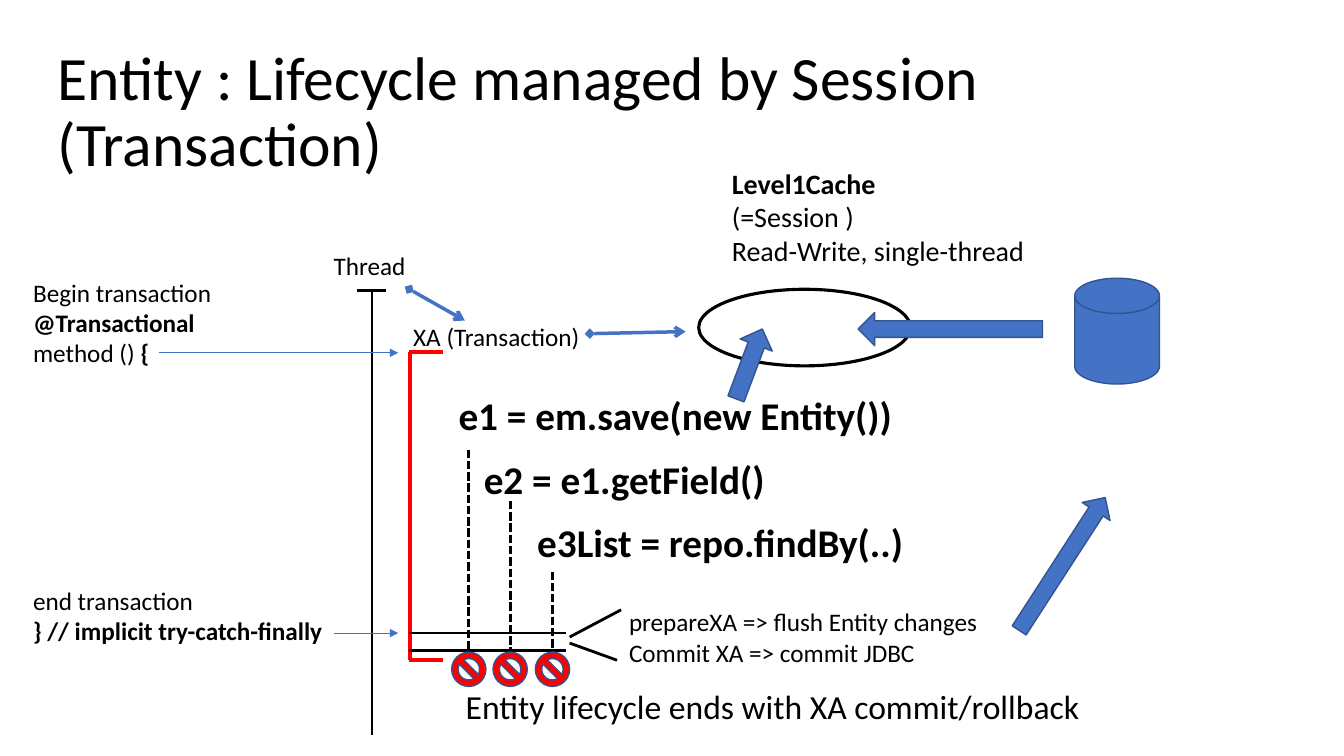
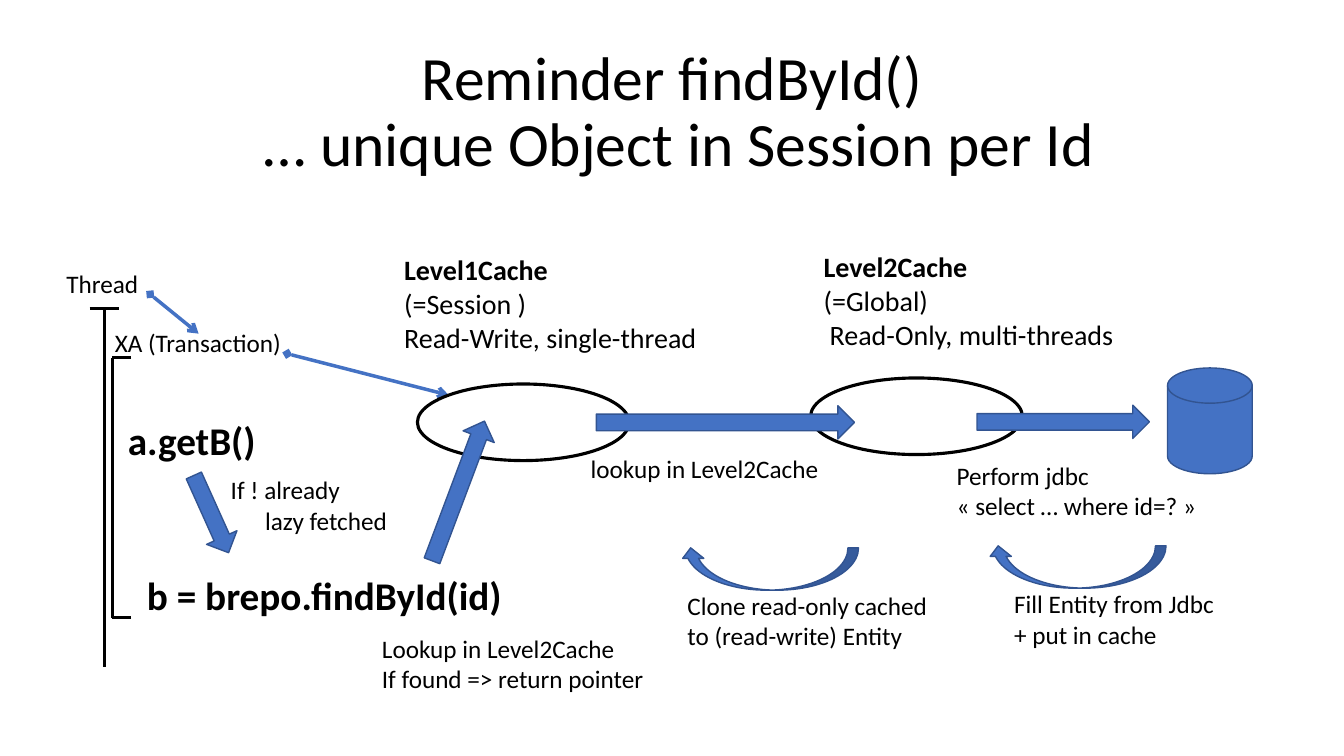
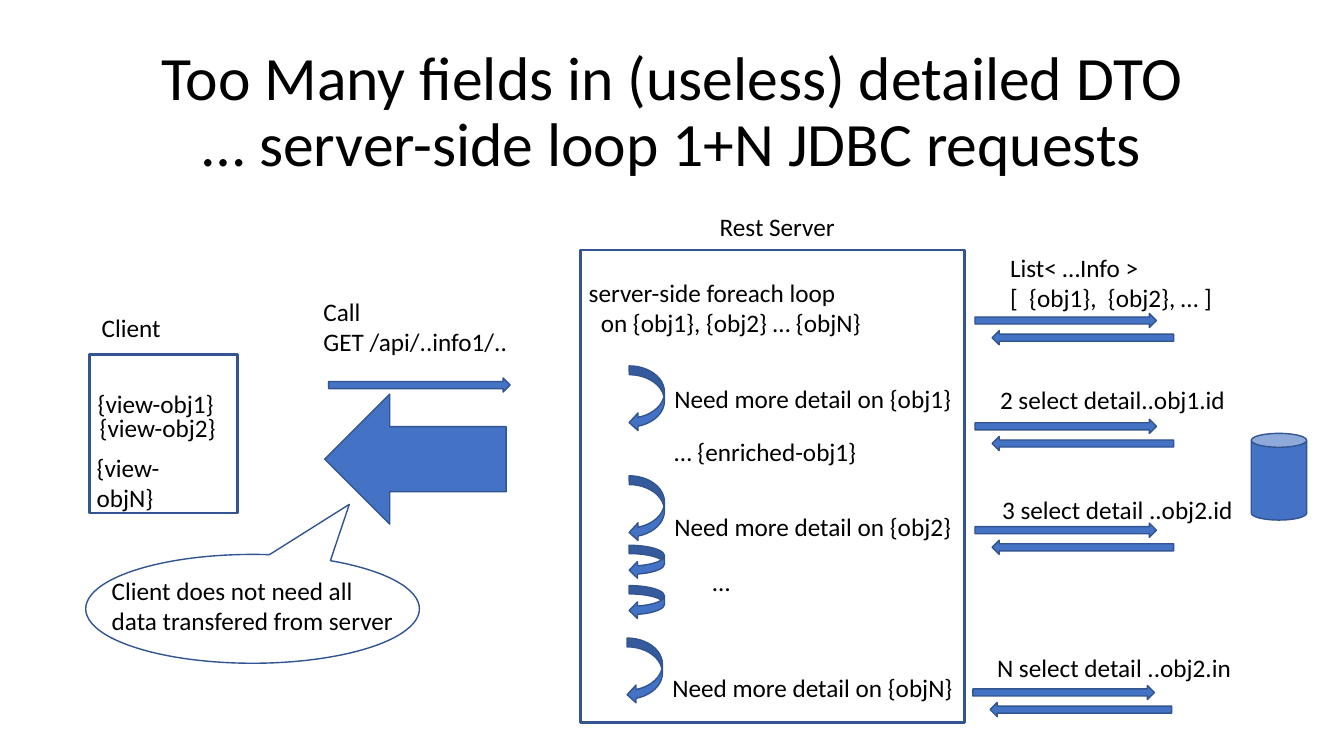
"""Builds three slides on entity lifecycles, cached lookups and request loops."""
from dataclasses import dataclass

from lxml import etree
from pptx import Presentation
from pptx import util as u
from pptx.dml.color import RGBColor
from pptx.enum import dml, shapes, text
from pptx.oxml import ns

Kind = shapes.MSO_SHAPE
Align = text.PP_ALIGN


@dataclass(frozen=True)
class Theme:
    font: str = "Calibri"
    ink: str = "000000"
    blue: str = "4472C4"
    edge: str = "325491"
    red: str = "FF0000"
    title: int = 44
    call: int = 28
    note: int = 24
    cache: int = 20
    body: int = 18
    thin: float = 0.5
    rim: float = 1
    pen: float = 2
    oval: float = 2.25
    link: float = 2.5
    thick: float = 3


class Deck:
    def __init__(self, theme):
        self.theme = theme
        self.show = Presentation()
        self.show.slide_width = u.Inches(13.33)
        self.show.slide_height = u.Inches(7.5)
        self.slide = None

    def run(self, para, words, size, bold=False):
        run = para.add_run()
        run.text = words
        run.font.name = self.theme.font
        run.font.size = u.Pt(size)
        run.font.bold = bold
        run.font.color.rgb = RGBColor.from_string(self.theme.ink)

    def page(self, *lines, x=0.92, w=11.5, align=Align.CENTER):
        self.slide = self.show.slides.add_slide(self.show.slide_layouts[5])
        title = self.slide.shapes.title
        title.left, title.top = u.Inches(x), u.Inches(0.4)
        title.width, title.height = u.Inches(w), u.Inches(1.45)
        frame = title.text_frame
        frame.word_wrap = True
        frame.auto_size = text.MSO_AUTO_SIZE.NONE
        frame.vertical_anchor = text.MSO_ANCHOR.MIDDLE
        para = frame.paragraphs[0]
        para.alignment = align
        para.line_spacing = 0.9
        for i, line in enumerate(lines):
            if i:
                para.add_line_break()
            self.run(para, line, self.theme.title)

    def label(self, x, y, w, *lines, size=None, indent=0):
        """Adds lines, with bold between ** marks and an indent on the last."""
        size = size or self.theme.body
        high = 0.1 + len(lines) * size / 60
        box = self.slide.shapes.add_textbox(*map(u.Inches, (x, y, w, high)))
        frame = box.text_frame
        frame.word_wrap = False
        frame.auto_size = text.MSO_AUTO_SIZE.SHAPE_TO_FIT_TEXT
        for i, line in enumerate(lines):
            para = frame.add_paragraph() if i else frame.paragraphs[0]
            for j, part in enumerate(line.split("**")):
                if part:
                    self.run(para, part, size, j % 2 == 1)
        if indent:
            para._p.get_or_add_pPr().set("marL", str(u.Inches(indent)))

    def call(self, x, y, w, line):
        self.label(x, y, w, f"**{line}**", size=self.theme.call)

    def cache(self, x, y, name, scope, use, indent=0):
        self.label(x, y, 3.13, f"**{name}**", scope, use,
                   size=self.theme.cache, indent=indent)

    def shape(self, kind, x, y, w, h, turn=0, fill=None, edge=None, wide=None):
        item = self.slide.shapes.add_shape(kind, *map(u.Inches, (x, y, w, h)))
        item.shadow.inherit = False
        item.rotation = turn
        if fill:
            item.fill.solid()
            item.fill.fore_color.rgb = RGBColor.from_string(fill)
        else:
            item.fill.background()
        item.line.color.rgb = RGBColor.from_string(edge or self.theme.edge)
        item.line.width = u.Pt(wide or self.theme.rim)
        return item

    def solid(self, kind, x, y, w, h, turn=0):
        self.shape(kind, x, y, w, h, turn, self.theme.blue)

    def arrow(self, x, y, w, h, turn):
        self.solid(Kind.DOWN_ARROW, x, y, w, h, turn)

    def oval(self, x, y):
        self.shape(Kind.OVAL, x, y, 2.1, 0.76,
                   edge=self.theme.ink, wide=self.theme.oval)

    def store(self, x, y):
        self.solid(Kind.FLOWCHART_MAGNETIC_DISK, x, y, 0.84, 1.05)

    def frame(self, x, y, w, h):
        self.shape(Kind.RECTANGLE, x, y, w, h, wide=self.theme.pen)

    def line(self, x, y, x2, y2, color=None, wide=None, dash=False,
             head=None, tail=None):
        item = self.slide.shapes.add_connector(
            shapes.MSO_CONNECTOR.STRAIGHT, *map(u.Inches, (x, y, x2, y2)))
        item.line.color.rgb = RGBColor.from_string(color or self.theme.ink)
        item.line.width = u.Pt(wide or self.theme.pen)
        if dash:
            item.line.dash_style = dml.MSO_LINE.SQUARE_DOT
        props = item.element.spPr
        for tag, tip in (("a:headEnd", head), ("a:tailEnd", tail)):
            if tip:
                etree.SubElement(props.get_or_add_ln(), ns.qn(tag), type=tip)
        etree.SubElement(props, ns.qn("a:effectLst"))

    def link(self, x, y, x2, y2):
        self.line(x, y, x2, y2, self.theme.blue, self.theme.link,
                  head="diamond", tail="arrow")

    def point(self, x, x2, y):
        self.line(x, y, x2, y, self.theme.blue, self.theme.thin,
                  tail="triangle")

    def thread(self, x, y, end):
        self.line(x, y, x, end)
        self.line(x - 0.15, y, x + 0.14, y)
        self.label(x - 0.48, y - 0.45, 0.92, "Thread")

    def scope(self, x, y, end, arm, color=None, wide=None):
        self.line(x, y, x, end, color, wide)
        for level in (y, end):
            self.line(x + arm, level, x - 0.01, level, color, wide)

    def trip(self, x, y):
        self.solid(Kind.RIGHT_ARROW, x, y, 1.8, 0.14)
        self.solid(Kind.RIGHT_ARROW, x + 0.17, y + 0.17, 1.8, 0.14, 180)


def life(deck):
    theme = deck.theme
    deck.page("Entity : Lifecycle managed by Session (Transaction)",
              x=0.47, w=12.69, align=Align.LEFT)
    deck.thread(3.69, 2.88, 7.29)
    deck.scope(4.07, 3.49, 6.55, 0.32, theme.red, theme.thick)
    deck.label(4, 3.14, 1.87, "XA (Transaction)")
    deck.oval(6.93, 2.87)
    deck.call(4.45, 3.83, 4.56, "e1 = em.save(new Entity())")
    deck.call(4.7, 4.47, 3.02, "e2 = e1.getField()")
    deck.call(5.23, 5.09, 3.88, "e3List = repo.findBy(..)")
    deck.link(4.06, 2.87, 4.61, 3.18)
    deck.link(5.85, 3.31, 6.8, 3.29)
    deck.cache(7.16, 1.6, "Level1Cache", "(=Session )",
               "Read-Write, single-thread")
    deck.arrow(7.26, 3.24, 0.34, 0.74, 200.6)
    deck.arrow(9.26, 2.35, 0.33, 1.83, 90)
    deck.store(10.66, 2.76)
    deck.solid(Kind.UP_ARROW, 10.37, 4.81, 0.33, 1.57, 32.9)

    deck.label(0.23, 2.7, 1.99, "Begin transaction", "**@Transactional**",
               "method () **{**")
    deck.label(0.23, 5.76, 3.08, "end transaction",
               "**} // implicit try-catch-finally**")
    deck.point(1.58, 3.95, 3.5)
    deck.point(3.31, 3.95, 6.28)
    for y in (6.28, 6.45):
        deck.line(5.61, y, 4.06, y)
    for x, y in ((4.65, 4.46), (5.06, 4.97), (5.48, 5.67)):
        deck.line(x, y, x, 6.46, dash=True)
        deck.shape(Kind.NO_SYMBOL, x - 0.17, 6.47, 0.34, 0.34, fill=theme.red)
    deck.line(6.16, 6.05, 5.65, 6.32)
    deck.line(6.12, 6.55, 5.65, 6.38)
    deck.label(6.14, 5.97, 3.71, "prepareXA => flush Entity changes",
               "Commit XA => commit JDBC")
    deck.label(4.52, 6.76, 6.35, "Entity lifecycle ends with XA commit/rollback",
               size=theme.note)


def find(deck):
    deck.page("Reminder findById()", " … unique Object in Session per Id")
    deck.thread(1.04, 3.06, 6.62)
    deck.scope(1.12, 3.55, 6.13, 0.18)
    deck.label(1.04, 3.2, 1.87, "XA (Transaction)")
    deck.link(1.49, 2.92, 1.97, 3.31)
    deck.link(2.85, 3.51, 4.45, 3.92)
    deck.oval(4.14, 3.81)
    deck.oval(8.04, 3.75)
    deck.cache(3.91, 2.46, "Level1Cache", "(=Session )",
               "Read-Write, single-thread")
    deck.cache(8.07, 2.43, "Level2Cache", "(=Global)",
               "Read-Only, multi-threads", indent=0.06)
    deck.call(1.17, 4.08, 1.49, "a.getB()")
    deck.call(1.36, 5.62, 3.76, "b = brepo.findById(id)")
    for spot in ((1.93, 4.68, 0.33, 0.84, 335.8), (4.38, 4.13, 0.33, 1.48, 200.6),
                 (7.03, 2.91, 0.33, 2.56, 270), (10.38, 3.33, 0.33, 1.71, 270)):
        deck.arrow(*spot)
    deck.store(11.58, 3.65)
    for x, y in ((7.42, 4.76), (10.47, 4.74)):
        deck.solid(Kind.CURVED_LEFT_ARROW, x, y, 0.42, 1.77, 90)
    deck.label(2.19, 4.66, 1.83, "If ! already", "lazy fetched", indent=0.34)
    deck.label(3.69, 6.23, 2.83, "Lookup in Level2Cache",
               "If found => return pointer")
    deck.label(5.76, 4.45, 2.55, "lookup in Level2Cache")
    deck.label(9.39, 4.52, 2.61, "Perform jdbc", "« select … where id=? »")
    deck.label(6.72, 5.81, 2.61, "Clone read-only cached",
               "to (read-write) Entity")
    deck.label(9.96, 5.79, 2.21, "Fill Entity from Jdbc", "+ put in cache")


def loop(deck):
    deck.page("Too Many fields in (useless) detailed DTO",
              "… server-side loop 1+N JDBC requests")
    deck.label(0.91, 3.05, 0.79, "Client")
    deck.frame(0.89, 3.52, 1.47, 1.57)
    for x, y, key in ((0.87, 3.8, 1), (0.89, 4.04, 2), (0.86, 4.44, "N")):
        deck.label(x, y, 1.38, f"{{view-obj{key}}}")
    deck.label(3.11, 2.89, 2.04, "Call", "GET /api/..info1/..")
    deck.solid(Kind.RIGHT_ARROW, 3.26, 3.75, 1.8, 0.14)
    deck.solid(Kind.RIGHT_ARROW, 3.22, 3.91, 1.8, 1.29, 180)
    bubble = deck.shape(Kind.OVAL_CALLOUT, 0.85, 5.5, 3.31, 1.08)
    bubble.adjustments[0] = 0.29
    bubble.adjustments[1] = -0.96
    deck.label(1.01, 5.66, 3.02, "Client does not need all",
               "data transfered from server")

    deck.label(7.04, 2.05, 1.36, "Rest Server")
    deck.frame(5.76, 2.48, 3.81, 4.69)
    deck.label(5.74, 2.7, 2.92, "server-side foreach loop",
               "on {obj1}, {obj2} … {objN}", indent=0.12)
    for x, y, w in ((6.09, 3.78, 0.65), (6.09, 4.87, 0.65), (6.25, 5.4, 0.33),
                    (6.25, 5.8, 0.33), (6.07, 6.48, 0.65)):
        deck.solid(Kind.CURVED_DOWN_ARROW, x, y, w, 0.35, 90)
    for x, y, key in ((6.59, 3.75, 1), (6.59, 5.02, 2), (6.57, 6.62, "N")):
        deck.label(x, y, 3, f"Need more detail on {{obj{key}}}")
    deck.label(6.59, 4.28, 2.03, "… {enriched-obj1}")
    deck.label(6.97, 5.57, 0.38, "…")

    for x, y in ((9.67, 3.11), (9.67, 4.16), (9.67, 5.19), (9.65, 6.8)):
        deck.trip(x, y)
    deck.label(9.92, 2.45, 2.23, "List< …Info >", "[  {obj1},  {obj2}, … ]")
    deck.label(9.82, 3.76, 2.46, "2 select detail..obj1.id")
    deck.label(9.84, 4.85, 2.51, "3 select detail ..obj2.id")
    deck.label(9.79, 6.42, 2.55, "N select detail ..obj2.in")
    deck.solid(Kind.CAN, 12.41, 4.3, 0.55, 0.86)


def main():
    deck = Deck(Theme())
    for build in (life, find, loop):
        build(deck)
    deck.show.save("out.pptx")


if __name__ == "__main__":
    main()
